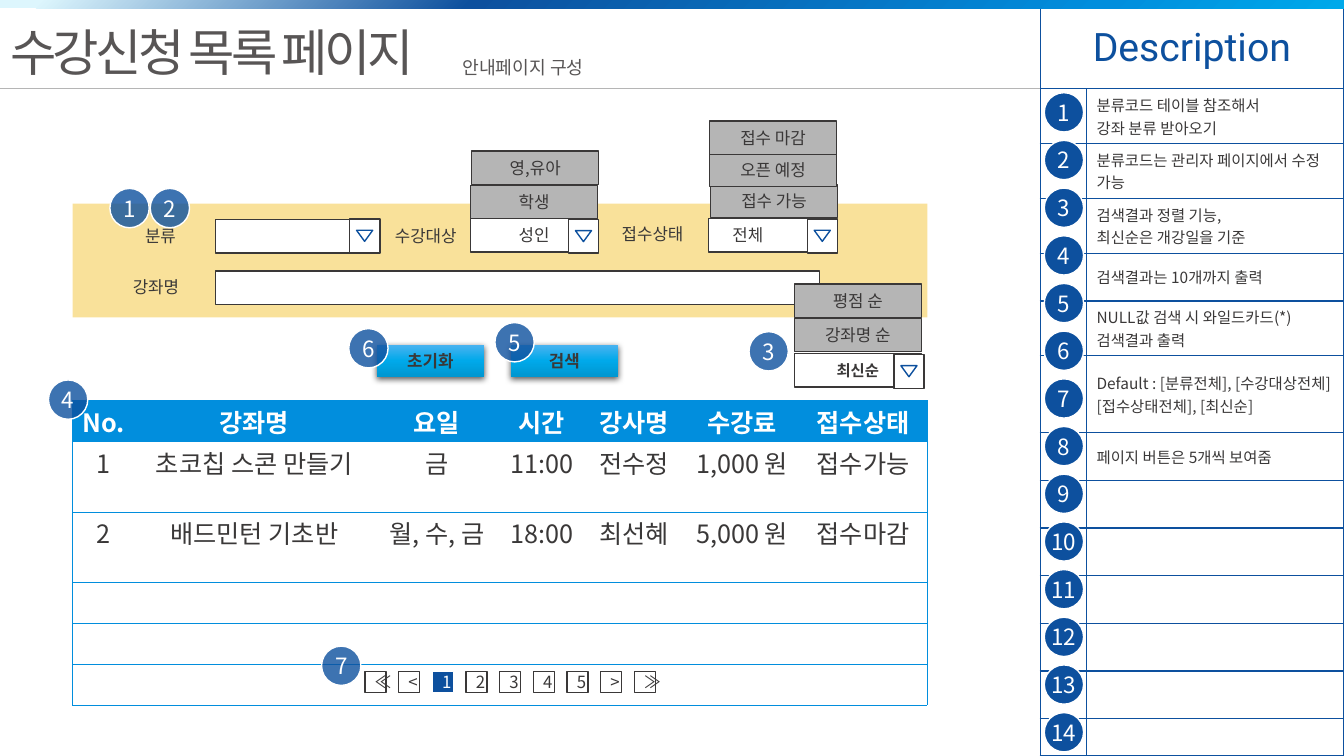
"""Build the course registration list page with its description panel."""
from lxml import etree
from pptx import Presentation
from pptx.dml.color import RGBColor
from pptx.enum.shapes import MSO_CONNECTOR as Connector, MSO_SHAPE as Shape
from pptx.enum.text import MSO_ANCHOR as Anchor, MSO_AUTO_SIZE as AutoSize, PP_ALIGN as Align
from pptx.oxml.ns import qn
from pptx.util import Pt

NAVY = RGBColor(0x0D, 0x50, 0x9E)
BLUE = RGBColor(0x01, 0x8E, 0xDD)
SKY = RGBColor(0x00, 0xA9, 0xEA)
PALE = RGBColor(0xDD, 0xF6, 0xFD)
LIGHT_BLUE = RGBColor(0x4B, 0xB3, 0xF0)
DEEP_SKY = RGBColor(0x00, 0x96, 0xD0)
YELLOW = RGBColor(0xF5, 0xC4, 0x37)
GRAY = RGBColor(0xB5, 0xB5, 0xB5)
TITLE_GRAY = RGBColor(0x58, 0x55, 0x55)
DARK = RGBColor(0x3A, 0x38, 0x38)
WHITE = RGBColor(0xFF, 0xFF, 0xFF)
KOREAN = "Noto Sans CJK KR"


def write_text(frame, text, size=12, color=DARK, align=Align.LEFT, name=KOREAN, bold=False):
    frame.word_wrap = True
    for index, line in enumerate(text.split("\n")):
        paragraph = frame.add_paragraph() if index else frame.paragraphs[0]
        paragraph.alignment = align
        run = paragraph.add_run()
        run.text = line
        for key, value in {"size": Pt(size), "bold": bold, "name": name}.items():
            setattr(run.font, key, value)
        run.font.color.rgb = color
        latin = run.font._element.find(qn("a:latin"))
        east_asian = etree.Element(qn("a:ea"), typeface=name)
        latin.addnext(east_asian)


def add_box(kind, left, top, width, height, fill=WHITE, line=DARK, text="", inset=7.2,
            alpha=100, **text_format):
    shape = slide.shapes.add_shape(kind, Pt(left), Pt(top), Pt(width), Pt(height))
    shape.shadow.inherit = False
    shape.fill.solid()
    shape.fill.fore_color.rgb = fill
    if alpha < 100:
        color = shape._element.spPr.find(".//" + qn("a:srgbClr"))
        etree.SubElement(color, qn("a:alpha"), val=str(alpha * 1000))
    if line is None:
        shape.line.fill.background()
    else:
        shape.line.color.rgb = line
        shape.line.width = Pt(1)
    if text:
        frame = shape.text_frame
        frame.vertical_anchor = Anchor.MIDDLE
        frame.margin_left = Pt(inset)
        if inset == 0:
            frame.margin_right = frame.margin_top = frame.margin_bottom = 0
        write_text(frame, text, **{"align": Align.CENTER, **text_format})
    return shape


presentation = Presentation()
presentation.slide_width, presentation.slide_height = Pt(960), Pt(540)
slide = presentation.slides.add_slide(presentation.slide_layouts[5])

title = slide.shapes.title
title_format = {"left": Pt(0), "top": Pt(11.5), "width": Pt(334), "height": Pt(51)}
for key, value in title_format.items():
    setattr(title, key, value)
title.text_frame.vertical_anchor = Anchor.TOP
title.text_frame.auto_size = AutoSize.SHAPE_TO_FIT_TEXT
write_text(title.text_frame, "수강신청 목록 페이지", 36, TITLE_GRAY)
title.text_frame.paragraphs[0].runs[0].font._element.set("spc", "-260")

add_box(Shape.RECTANGLE, 51.8, 145.4, 610.6, 81.4, YELLOW, None, alpha=50)

descriptions = [
    "분류코드 테이블 참조해서\n강좌 분류 받아오기",
    "분류코드는 관리자 페이지에서 수정 가능",
    "검색결과 정렬 기능,\n최신순은 개강일을 기준",
    "검색결과는 10개까지 출력",
    "NULL값 검색 시 와일드카드(*)\n검색결과 출력",
    "Default : [분류전체], [수강대상전체]\n[접수상태전체], [최신순]",
    "페이지 버튼은 5개씩 보여줌",
]
STEP = 34.06
ONE_LINE, TWO_LINES, THREE_LINES = STEP, 39.2, 55
description_heights = [57.4, TWO_LINES, TWO_LINES, TWO_LINES, ONE_LINE, TWO_LINES, THREE_LINES]
description_heights += [ONE_LINE] * 6
description_heights.append(534 - sum(description_heights))
description_frame = slide.shapes.add_table(len(description_heights), 2, Pt(743), Pt(6),
                                           Pt(216.7), Pt(534))
description_table = description_frame.table
for column, width in zip(description_table.columns, (33.1, 183.6)):
    column.width = Pt(width)
for row, height in zip(description_table.rows, description_heights):
    row.height = Pt(height)
    for cell in row.cells:
        cell.margin_top = cell.margin_bottom = 0
        cell.vertical_anchor = Anchor.MIDDLE
heading = description_table.cell(0, 0)
heading.merge(description_table.cell(0, 1))
write_text(heading.text_frame, "Description", 28, NAVY, Align.CENTER, "Roboto")
for index, text in enumerate(descriptions, 1):
    write_text(description_table.cell(index, 1).text_frame, text, 11)

rule = slide.shapes.add_connector(Connector.STRAIGHT, Pt(0), Pt(63.4), Pt(743), Pt(63.4))
rule.line.color.rgb = GRAY
rule.line.width = Pt(1)
etree.SubElement(rule._element.spPr, qn("a:effectLst"))
top_bar = add_box(Shape.RECTANGLE, 0, 0, 960, 6, NAVY, None)

add_box(Shape.RECTANGLE, 154.1, 193.7, 431.3, 23.8)
for text, left, top, width, size, color in [
    ("안내페이지 구성", 323.3, 36.7, 109.4, 13, TITLE_GRAY),
    ("수강대상", 275, 157.7, 69, 12, DARK),
    ("접수상태", 437, 156.2, 69, 12, DARK),
    ("강좌명", 87.8, 194.4, 55.4, 12, DARK),
    ("분류", 96.5, 157.7, 41.8, 12, DARK),
]:
    label = slide.shapes.add_textbox(Pt(left), Pt(top), Pt(width), Pt(21.6))
    write_text(label.text_frame, text, size, color)

add_box(Shape.RECTANGLE, 154.1, 157, 115.2, 23.8)
buttons = [add_box(Shape.RECTANGLE, left, 246.2, 76.3, 23, SKY, None, text, bold=True)
           for text, left in (("초기화", 269.3), ("검색", 365))]

for text, left, top, fill, text_format in [
    ("강좌명 순", 567.4, 227.5, GRAY, {}),
    ("평점 순", 567.4, 203, GRAY, {}),
    ("최신순", 567.4, 252.7, WHITE, {"size": 11, "bold": True}),
    ("성인", 336.2, 156.2, WHITE, {}),
    ("전체", 506.2, 156.2, WHITE, {"align": Align.LEFT, "inset": 17}),
    ("학생", 336.2, 132.5, GRAY, {}),
    ("영,유아", 337, 108, GRAY, {}),
    ("접수 가능", 507.6, 131.8, GRAY, {}),
    ("오픈 예정", 506.9, 109.4, GRAY, {}),
    ("접수 마감", 506.9, 86.4, GRAY, {}),
]:
    add_box(Shape.RECTANGLE, left, top, 90.7, 23.8, fill, DARK, text, **text_format)

for left, top in ((249.8, 156.5), (638.6, 253.2), (406.1, 156.7), (576.7, 156.5)):
    add_box(Shape.RECTANGLE, left, top, 21.6, 24.2)
    arrow = add_box(Shape.ISOSCELES_TRIANGLE, left + 4.9, top + 8, 11.5, 7.9, WHITE, NAVY)
    arrow.rotation = 180

for index, text in enumerate("≪<12345>≫"):
    current = text == "1"
    add_box(Shape.RECTANGLE, 260.6 + 24.05 * index, 479.5, 15.1, 15.1,
            NAVY if current else WHITE, WHITE if current else DARK, text,
            color=WHITE if current else DARK)

courses = [
    ("No.", "강좌명", "요일", "시간", "강사명", "수강료", "접수상태"),
    ("1", "초코칩 스콘 만들기", "금", "11:00", "전수정", "1,000 원", "접수가능"),
    ("2", "배드민턴 기초반", "월, 수, 금", "18:00", "최선혜", "5,000 원", "접수마감"),
]
course_heights = [29.17, 50.5, 50.5, 29.17, 29.17, 29.17]
course_frame = slide.shapes.add_table(6, 7, Pt(51.8), Pt(286), Pt(610.6),
                                      Pt(sum(course_heights)))
course_table = course_frame.table
for column, width in zip(course_table.columns, (44.6, 170.6, 90, 59.8, 72.7, 81.4, 91.4)):
    column.width = Pt(width)
for row, height in zip(course_table.rows, course_heights):
    row.height = Pt(height)
    for cell in row.cells:
        cell.margin_top, cell.margin_bottom = Pt(4), 0
for row_index, course in enumerate(courses):
    for column_index, text in enumerate(course):
        cell = course_table.cell(row_index, column_index)
        header = row_index == 0
        if header:
            cell.margin_left = cell.margin_right = Pt(3)
        write_text(cell.text_frame, text, 18, WHITE if header else DARK, Align.CENTER,
                   bold=header)
        cell.text_frame.paragraphs[0].line_spacing = 0.9

for table, color, width, inner in ((description_table, NAVY, 1, True),
                                   (course_table, BLUE, 0.5, False)):
    table.first_row = table.horz_banding = False
    last = len(table.columns) - 1
    for row_index, row in enumerate(table.rows):
        for column_index, cell in enumerate(row.cells):
            if row_index == 0 and not inner:
                cell.fill.solid()
                cell.fill.fore_color.rgb = BLUE
            else:
                cell.fill.background()
            visible = (inner or column_index == 0, inner or column_index == last, True, True)
            for position, (side, shown) in enumerate(zip("LRTB", visible)):
                border = etree.Element(qn("a:ln" + side), w=str(Pt(width)))
                paint = etree.SubElement(border, qn("a:solidFill" if shown else "a:noFill"))
                if shown:
                    etree.SubElement(paint, qn("a:srgbClr"), val=str(color))
                cell._tc.get_or_add_tcPr().insert(position, border)

button_stops = ((0, LIGHT_BLUE), (50, SKY), (100, DEEP_SKY))
bar_stops = ((3, PALE), (35, NAVY), (82, BLUE), (100, SKY))
for shape, stops, angle in [(top_bar, bar_stops, 45)] + [(b, button_stops, 90) for b in buttons]:
    gradient = etree.Element(qn("a:gradFill"), rotWithShape="1")
    stop_list = etree.SubElement(gradient, qn("a:gsLst"))
    for position, color in stops:
        stop = etree.SubElement(stop_list, qn("a:gs"), pos=str(position * 1000))
        etree.SubElement(stop, qn("a:srgbClr"), val=str(color))
    etree.SubElement(gradient, qn("a:lin"), ang=str(angle * 60000), scaled="0")
    properties = shape._element.spPr
    properties.replace(properties.find(qn("a:solidFill")), gradient)

for button in buttons:
    effects = button._element.spPr.find(qn("a:effectLst"))
    shadow = etree.SubElement(effects, qn("a:outerShdw"), blurRad=str(Pt(4.5)),
                              dist=str(Pt(1.5)), dir="5400000", rotWithShape="0")
    shade = etree.SubElement(shadow, qn("a:srgbClr"), val="000000")
    etree.SubElement(shade, qn("a:alpha"), val="63000")

callouts = [(78.5, 134.6), (107.3, 134.6), (535, 236.9), (34.6, 271.4), (353.5, 230.4),
            (249.1, 234.7), (229.7, 461.5)]
markers = [(number, *place, 80) for number, place in enumerate(callouts, 1)]
markers += [(number, 745.9, 66.2 + STEP * (number - 1), 100) for number in range(1, 15)]
for number, left, top, alpha in markers:
    add_box(Shape.OVAL, left, top, 28.1, 28.1, NAVY, WHITE, str(number), 0, alpha,
            size=16, color=WHITE)

presentation.save("out.pptx")
